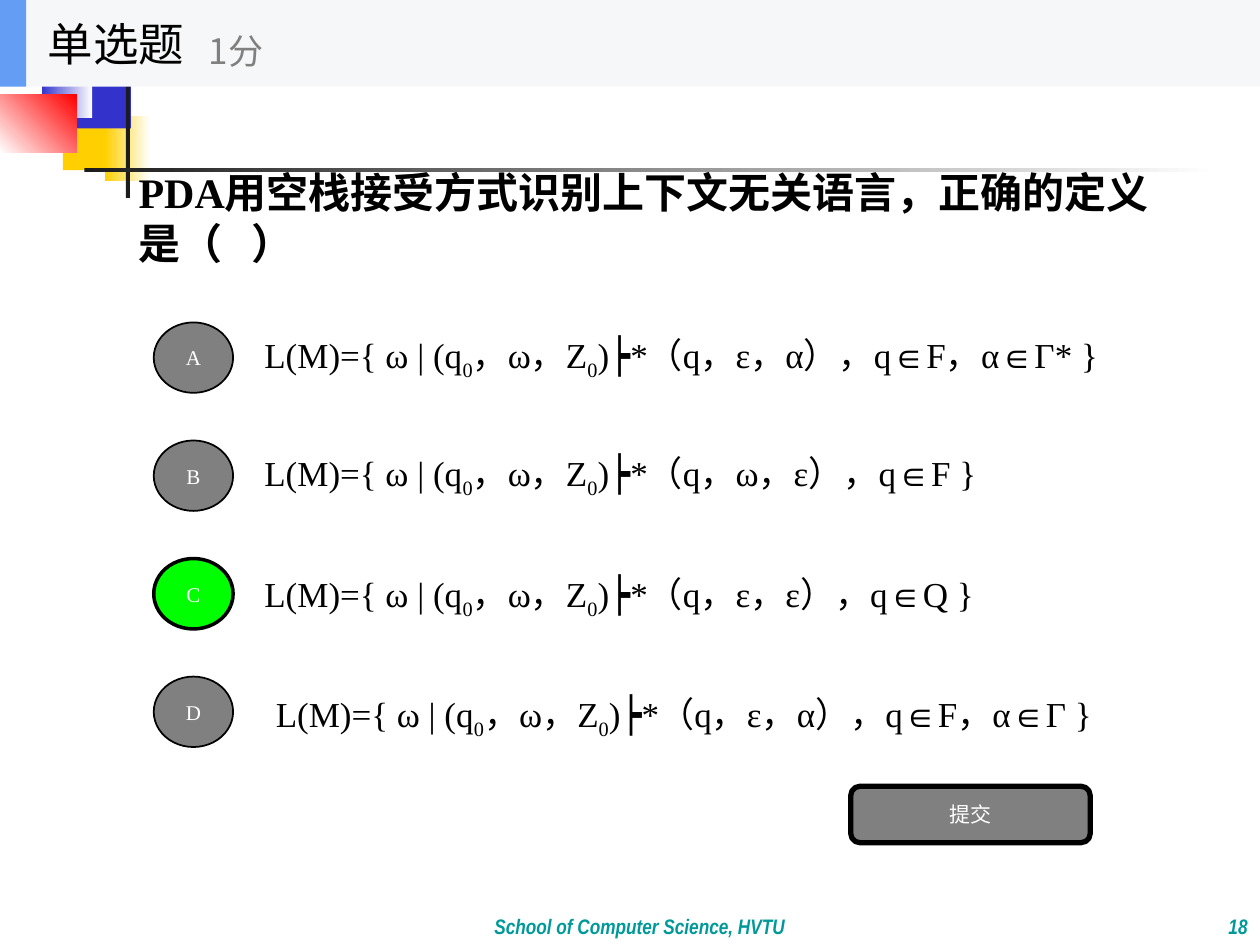
from lxml.etree import SubElement
from pptx import Presentation
from pptx.dml.color import RGBColor
from pptx.enum.shapes import MSO_SHAPE
from pptx.enum.text import MSO_ANCHOR, MSO_AUTO_SIZE, PP_ALIGN
from pptx.oxml.ns import qn
from pptx.util import Cm, Pt

SERIF = "Times New Roman"
SANS = "Noto Sans CJK SC"
NARROW = "Arial Narrow"


def rgb(value):
    return RGBColor.from_string(value)


def lengths(box):
    return [Cm(value) for value in box]


def style(run, size, color, font=SERIF, bold=False, italic=False):
    run.font.size = Pt(size)
    run.font.name = font
    run.font.bold = bold
    run.font.italic = italic
    run.font.color.rgb = rgb(color)
    SubElement(run.font._element, qn("a:ea"), typeface=SANS)


def add_block(slide, box, fill, kind=MSO_SHAPE.RECTANGLE, line=0, fade_to=None, angle=0):
    block = slide.shapes.add_shape(kind, *lengths(box))
    block.shadow.inherit = False
    if fade_to:
        block.fill.gradient()
        block.fill.gradient_angle = angle
        for stop, color in zip(block.fill.gradient_stops, (fill, fade_to)):
            stop.color.rgb = rgb(color)
    else:
        block.fill.solid()
        block.fill.fore_color.rgb = rgb(fill)
    if line:
        block.line.color.rgb = rgb("000000")
        block.line.width = Pt(line)
    else:
        block.line.fill.background()
    return block


def add_label(slide, box, text, size, color, font=SERIF, anchor=MSO_ANCHOR.MIDDLE,
              align=PP_ALIGN.LEFT, bold=False, italic=False):
    frame = slide.shapes.add_textbox(*lengths(box)).text_frame
    frame.word_wrap = True
    frame.vertical_anchor = anchor
    frame.text = text
    paragraph = frame.paragraphs[0]
    paragraph.alignment = align
    style(paragraph.runs[0], size, color, font, bold, italic)
    return paragraph


def add_button(slide, box, text, kind, fill, line):
    button = add_block(slide, box, fill, kind, line)
    frame = button.text_frame
    frame.word_wrap = False
    frame.vertical_anchor = MSO_ANCHOR.MIDDLE
    frame.text = text
    frame.paragraphs[0].alignment = PP_ALIGN.CENTER
    style(frame.paragraphs[0].runs[0], 12, "FFFFFF")


def add_ornament(slide, left, top):
    for x, y, width, height, fill, fade_to, angle in (
        (1.27, 1.04, 1.22, 1.32, "FFCF01", None, 0),
        (2.11, 1.27, 0.91, 1.32, "FFCF01", "FFFFFF", 0),
        (1.47, 0.2, 1.17, 1.32, "3333CC", None, 0),
        (0.84, 0, 1.02, 1.32, "3333CC", "FFFFFF", 0),
        (0, 0.84, 1.55, 1.17, "FFFFFF", "FF0000", 45),
        (2.54, 0, 0.08, 2.92, "1C1C1C", None, 0),
        (1.7, 2.31, 22.86, 0.08, "1C1C1C", "FFFFFF", 0),
    ):
        add_block(slide, (left + x, top + y, width, height), fill,
                  fade_to=fade_to, angle=angle)


def add_footer(slide, left, top, width, height):
    look = dict(size=12, color="009999", font=NARROW, anchor=MSO_ANCHOR.BOTTOM,
                bold=True, italic=True)
    number_width = 4.24
    add_label(slide, (left + width - number_width, top, number_width, height), "18",
              align=PP_ALIGN.RIGHT, **look)
    school = add_label(slide, (left + 4.01, top, 17.78, height),
                       "School of Computer Science, HVTU",
                       align=PP_ALIGN.CENTER, **look)
    school.line_spacing = 1.1


def add_question(slide, box):
    question = slide.shapes.title
    question.left, question.top, question.width, question.height = lengths(box)
    slide.shapes._spTree.append(question._element)
    frame = question.text_frame
    frame.auto_size = MSO_AUTO_SIZE.NONE
    frame.word_wrap = True
    frame.vertical_anchor = MSO_ANCHOR.MIDDLE
    frame.text = "PDA用空栈接受方式识别上下文无关语言，正确的定义是（   ）"
    frame.paragraphs[0].alignment = PP_ALIGN.LEFT
    style(frame.paragraphs[0].runs[0], 24, "000000", bold=True)


def add_formula(slide, box, ending):
    formula = add_label(slide, box, "L(M)={ ω | (q", 20, "000000")
    for part in ("0", "，ω，Z", "0", ")┝*（" + ending):
        run = formula.add_run()
        run.text = part
        style(run, 20, "000000")
        if part == "0":
            run.font._element.set("baseline", "-25000")


def add_options(slide, left, top, pitch):
    options = (
        ("A", "q，ε，α），q∈F，α∈Γ* }", 1.98, -0.18),
        ("B", "q，ω，ε），q∈F }", 1.98, -0.18),
        ("C", "q，ε，ε），q∈Q }", 1.98, -0.13),
        ("D", "q，ε，α），q∈F，α∈Γ }", 2.21, -0.08),
    )
    for row, (letter, ending, indent, drop) in enumerate(options):
        y = top + row * pitch
        add_formula(slide, (left + indent, y + drop, 19.96, 1.78), ending)
        fill, line = ("00FF00", 2) if letter == "C" else ("808080", 1)
        add_button(slide, (left, y, 1.6, 1.42), letter, MSO_SHAPE.OVAL, fill, line)


def add_header(slide, left, top, width, height):
    add_block(slide, (left, top, width, height), "F6F7F8")
    add_block(slide, (left, top, 0.53, height), "639EF4")
    add_label(slide, (left + 0.71, top, 5.28, height), "单选题", 26, "000000", SANS)
    add_label(slide, (left + 3.96, top + 0.3, 6.35, 1.42), "1分", 20, "808080", SANS)


def main():
    deck = Presentation()
    deck.slide_width, deck.slide_height = Cm(25.4), Cm(19.05)
    slide = deck.slides.add_slide(deck.slide_layouts[5])
    add_ornament(slide, 0, 1.07)
    add_footer(slide, 0, 17.78, 25.4, 1.27)
    add_question(slide, (2.54, 1.75, 21.16, 5.25))
    add_options(slide, 3.1, 6.5, 2.38)
    add_button(slide, (17.15, 15.85, 4.83, 1.14), "提交",
               MSO_SHAPE.ROUNDED_RECTANGLE, "808080", 3)
    add_header(slide, 0, 0, 25.4, 1.75)
    deck.save("out.pptx")


if __name__ == "__main__":
    main()
